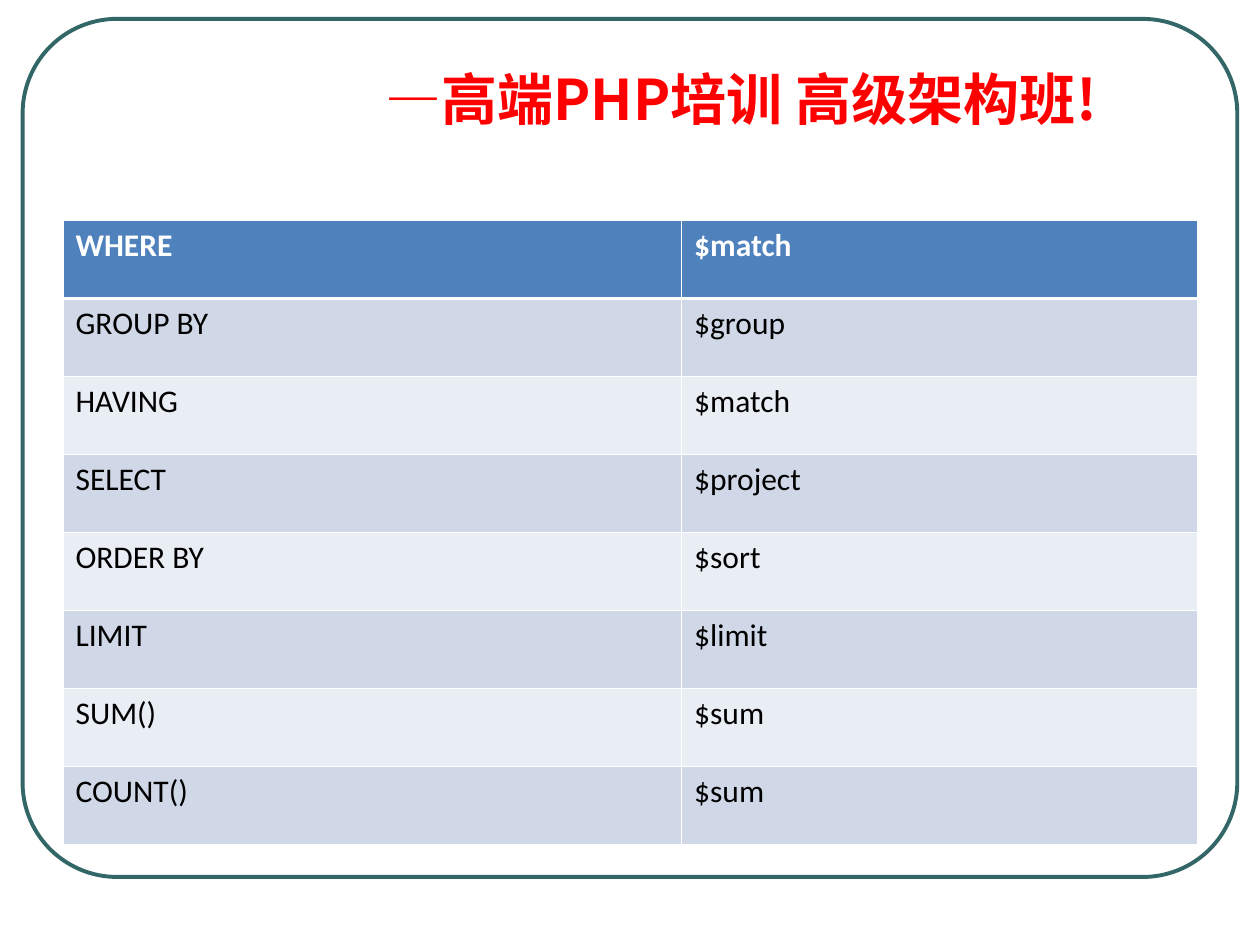
from lxml.etree import SubElement
from pptx import Presentation
from pptx.dml.color import RGBColor
from pptx.enum.shapes import MSO_SHAPE
from pptx.oxml.ns import qn
from pptx.util import Inches, Pt

WHITE = RGBColor(0xFF, 0xFF, 0xFF)
BLACK = RGBColor(0x00, 0x00, 0x00)
RED = RGBColor(0xFF, 0x00, 0x00)
TEAL = RGBColor(0x33, 0x66, 0x66)
HEADER_BLUE = RGBColor(0x4F, 0x81, 0xBD)
BANDS = (RGBColor(0xE9, 0xED, 0xF4), RGBColor(0xD0, 0xD8, 0xE8))

TITLE_FONT = "Noto Sans CJK SC"
TABLE_FONT = "Calibri"
THIN, THICK = Pt(0.45), Pt(1.47)

OPERATORS = [
    ("WHERE", "$match"),
    ("GROUP BY", "$group"),
    ("HAVING", "$match"),
    ("SELECT", "$project"),
    ("ORDER BY", "$sort"),
    ("LIMIT", "$limit"),
    ("SUM()", "$sum"),
    ("COUNT()", "$sum"),
]


def format_span(span, font, size, color, bold):
    span.font.name = font
    span.font.size = Pt(size)
    span.font.color.rgb = color
    span.font.bold = bold
    SubElement(span.font._element, qn("a:ea"), typeface=font)


def add_frame(slide):
    frame = slide.shapes.add_shape(
        MSO_SHAPE.ROUNDED_RECTANGLE,
        Inches(0.18), Inches(0.15), Inches(9.64), Inches(6.81))
    frame.adjustments[0] = 0.11
    frame.shadow.inherit = False
    frame.fill.background()
    frame.line.color.rgb = TEAL
    frame.line.width = Pt(2.25)


def add_title(slide):
    box = slide.shapes.add_textbox(
        Inches(2.95), Inches(0.52), Inches(6.89), Inches(0.58))
    box.text_frame.word_wrap = True
    para = box.text_frame.paragraphs[0]
    para.text = "—高端PHP培训 高级架构班!"
    para.line_spacing = 0.9
    para.space_before = Pt(8.2)
    properties = para._p.get_or_add_pPr()
    properties.set("marL", str(Inches(0.38)))
    properties.set("indent", str(Inches(-0.37)))
    format_span(para.runs[0], TITLE_FONT, 32, RED, True)


def set_borders(cell, top, bottom):
    """Draw white cell borders; they must precede the fill in the XML."""
    properties = cell._tc.get_or_add_tcPr()
    widths = {"a:lnL": THIN, "a:lnR": THIN, "a:lnT": top, "a:lnB": bottom}
    for position, (tag, width) in enumerate(widths.items()):
        border = SubElement(properties, qn(tag), w=str(width))
        fill = SubElement(border, qn("a:solidFill"))
        SubElement(fill, qn("a:srgbClr"), val=str(WHITE))
        properties.insert(position, border)


def fill_cell(cell, text, row):
    header = row == 0
    cell.fill.solid()
    cell.fill.fore_color.rgb = HEADER_BLUE if header else BANDS[row % 2]
    set_borders(cell, THICK if row == 1 else THIN, THICK if header else THIN)
    para = cell.text_frame.paragraphs[0]
    para.text = text
    para.space_before = Pt(4.5)
    format_span(para.runs[0], TABLE_FONT, 18, WHITE if header else BLACK, header)


def add_operator_table(slide):
    table = slide.shapes.add_table(
        len(OPERATORS), 2,
        Inches(0.5), Inches(1.75), Inches(9), Inches(4.95)).table
    for column, width in zip(table.columns, (4.91, 4.09)):
        column.width = Inches(width)
    for row, texts in enumerate(OPERATORS):
        for column, text in enumerate(texts):
            fill_cell(table.cell(row, column), text, row)


def main():
    deck = Presentation()
    deck.slide_width = Inches(10)
    deck.slide_height = Inches(7.5)
    slide = deck.slides.add_slide(deck.slide_layouts[6])
    add_frame(slide)
    add_title(slide)
    add_operator_table(slide)
    deck.save("out.pptx")


if __name__ == "__main__":
    main()
